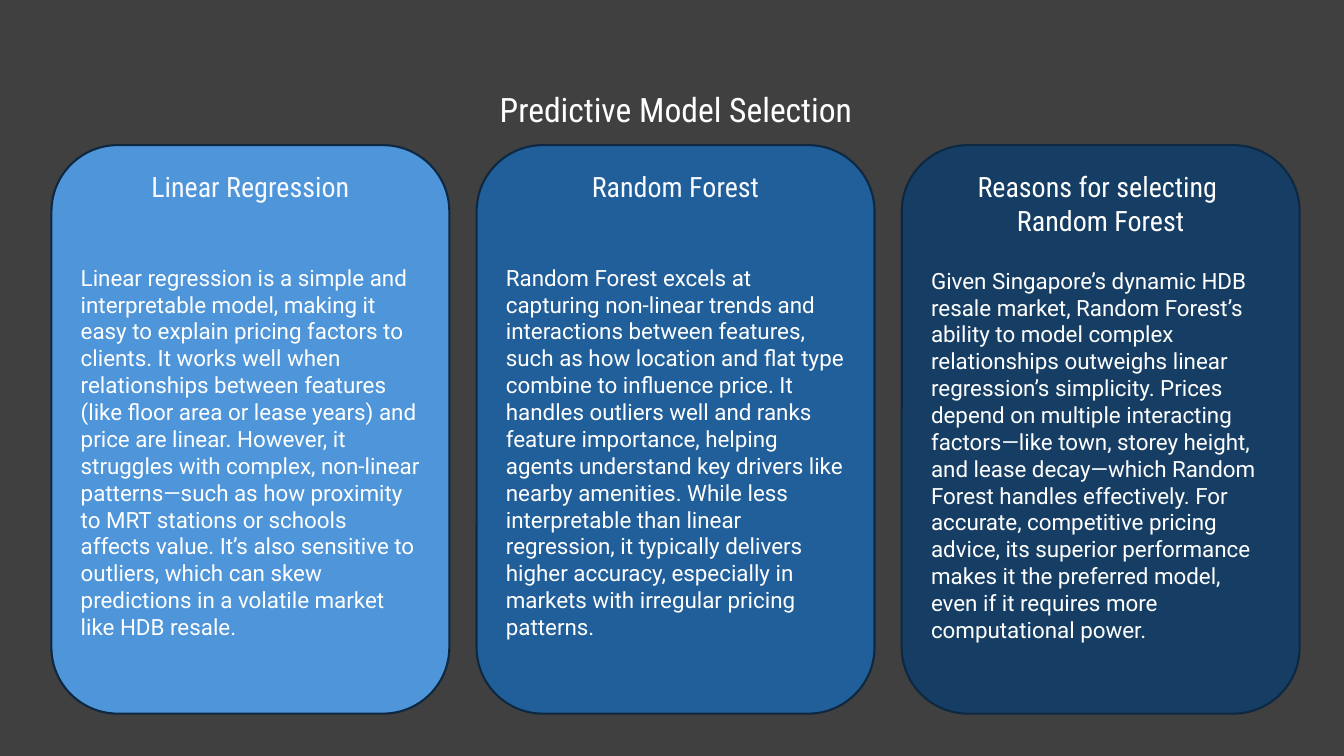
from lxml import etree
from pptx import Presentation
from pptx.dml.color import RGBColor
from pptx.enum.shapes import MSO_SHAPE
from pptx.enum.text import MSO_ANCHOR, MSO_AUTO_SIZE, PP_ALIGN
from pptx.oxml.ns import qn
from pptx.util import Inches, Pt

RECT, ROUND = MSO_SHAPE.RECTANGLE, MSO_SHAPE.ROUNDED_RECTANGLE
LEFT, CENTER = PP_ALIGN.LEFT, PP_ALIGN.CENTER
TOP, MIDDLE, FIXED = MSO_ANCHOR.TOP, MSO_ANCHOR.MIDDLE, MSO_AUTO_SIZE.NONE

BLACK = RGBColor(0x00, 0x00, 0x00)
WHITE = RGBColor(0xFF, 0xFF, 0xFF)
PALE = RGBColor(0xF8, 0xFA, 0xFF)
SKY = RGBColor(0x4E, 0x95, 0xD9)
BLUE = RGBColor(0x21, 0x5F, 0x9A)
NAVY = RGBColor(0x16, 0x3E, 0x64)
EDGE = RGBColor(0x0E, 0x28, 0x41)

WIDE, HIGH = 13.33, 7.5
VEIL = 75
GAP = 0.27

TITLE = {"name": "Roboto Condensed", "size": Pt(24), "bold": False}
HEAD = {"name": "Roboto Condensed", "size": Pt(20)}
BODY = {"name": "Roboto", "size": Pt(16)}

CARDS = [
    (SKY, PALE, ["Linear Regression"], 43.4,
     "Linear regression is a simple and interpretable model, making it easy to "
     "explain pricing factors to clients. It works well when relationships between "
     "features (like floor area or lease years) and price are linear. However, it "
     "struggles with complex, non-linear patterns—such as how proximity to MRT "
     "stations or schools affects value. It’s also sensitive to outliers, which can "
     "skew predictions in a volatile market like HDB resale."),
    (BLUE, PALE, ["Random Forest"], 43.4,
     "Random Forest excels at capturing non-linear trends and interactions between "
     "features, such as how location and flat type combine to influence price. It "
     "handles outliers well and ranks feature importance, helping agents understand "
     "key drivers like nearby amenities. While less interpretable than linear "
     "regression, it typically delivers higher accuracy, especially in markets with "
     "irregular pricing patterns."),
    (NAVY, WHITE, ["Reasons for selecting ", "Random Forest"], 21.5,
     "Given Singapore’s dynamic HDB resale market, Random Forest’s ability to model "
     "complex relationships outweighs linear regression’s simplicity. Prices depend "
     "on multiple interacting factors—like town, storey height, and lease "
     "decay—which Random Forest handles effectively. For accurate, competitive "
     "pricing advice, its superior performance makes it the preferred model, even if "
     "it requires more computational power."),
]


def write(para, text, style, color, align):
    """Fill a paragraph with styled text."""
    para.text = text
    para.alignment = align
    for key, value in style.items():
        setattr(para.font, key, value)
    para.font.color.rgb = color


def add_block(slide, kind, box, color):
    """Add a filled shape without shadow in the box."""
    shape = slide.shapes.add_shape(kind, *map(Inches, box))
    shape.shadow.inherit = False
    shape.fill.solid()
    shape.fill.fore_color.rgb = color
    return shape


def add_veil(slide, box):
    """Cover the box with translucent black."""
    veil = add_block(slide, RECT, box, BLACK)
    veil.line.fill.background()
    tone = veil.element.spPr.find(".//" + qn("a:srgbClr"))
    etree.SubElement(tone, qn("a:alpha")).set("val", str(VEIL * 1000))


def add_title(slide, box, text):
    """Place the title above the veil."""
    title = slide.shapes.title
    title.left, title.top, title.width, title.height = map(Inches, box)
    frame = title.text_frame
    frame.auto_size, frame.vertical_anchor = FIXED, MIDDLE
    write(frame.paragraphs[0], text, TITLE, WHITE, CENTER)
    slide.shapes.element.append(title.element)


def add_card(slide, box, fill, tint, heads, space, body):
    """Draw one rounded card with heading and body."""
    card = add_block(slide, ROUND, box, fill)
    card.line.color.rgb = EDGE
    card.line.width = Pt(1.5)
    frame = card.text_frame
    frame.word_wrap, frame.vertical_anchor = True, TOP
    frame.margin_top = Inches(0.05)
    for row, head in enumerate(heads):
        para = frame.add_paragraph() if row else frame.paragraphs[0]
        write(para, head, HEAD, tint, CENTER)
    para = frame.add_paragraph()
    write(para, body, BODY, WHITE, LEFT)
    para.space_before = Pt(space)


def add_cards(slide, box):
    """Split the box into equal columns of cards."""
    left, top, width, height = box
    step = (width + GAP) / len(CARDS)
    for col, card in enumerate(CARDS):
        add_card(slide, (left + col * step, top, step - GAP, height), *card)


def main():
    """Build and save the slide."""
    deck = Presentation()
    deck.slide_width, deck.slide_height = Inches(WIDE), Inches(HIGH)
    slide = deck.slides.add_slide(deck.slide_layouts[5])
    add_veil(slide, (0, 0, WIDE, HIGH))
    add_cards(slide, (0.51, 1.44, 12.38, 5.64))
    add_title(slide, (4.19, 0.83, 5.03, 0.5), "Predictive Model Selection")
    deck.save("out.pptx")


if __name__ == "__main__":
    main()
